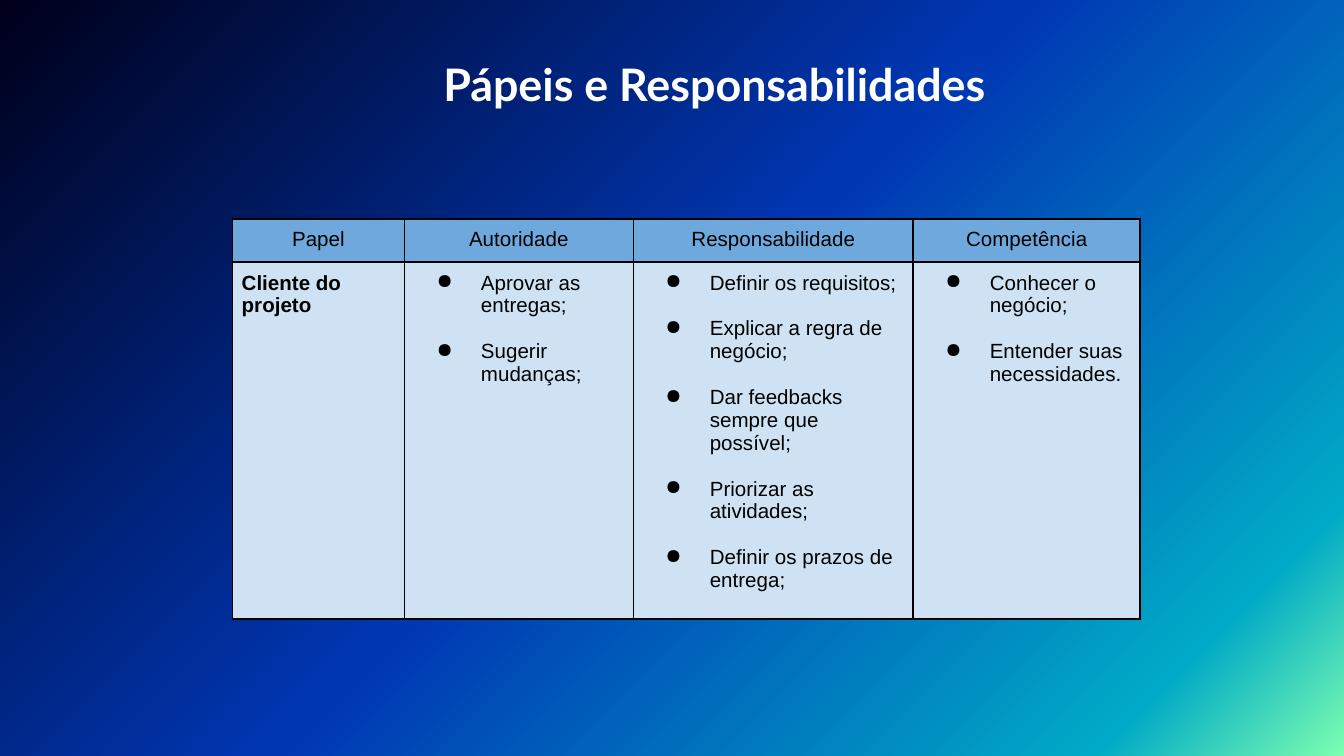
from lxml.etree import SubElement
from pptx import Presentation
from pptx.dml.color import RGBColor
from pptx.enum.text import PP_ALIGN as Align
from pptx.oxml.ns import qn
from pptx.util import Pt

COLORS = {
    "white": "FFFFFF",
    "black": "000000",
    "header": "6FA8DC",
    "body": "CFE2F3",
}
BACKGROUND_STOPS = [(0, "7DFFB1"), (12, "00AAC6"), (51, "0037B3"), (100, "00001A")]
COLUMN_WIDTHS = [92.2, 122.6, 150, 121.6]
HEADER_HEIGHT, BODY_HEIGHT = 22, 181.5
ITEM_GAP = 12.3

HEADERS = ["Papel", "Autoridade", "Responsabilidade", "Competência"]
ROLE = "Cliente do projeto"
DUTIES = [
    ["Aprovar as entregas;", "Sugerir mudanças;"],
    [
        "Definir os requisitos;",
        "Explicar a regra de negócio;",
        "Dar feedbacks sempre que possível;",
        "Priorizar as atividades;",
        "Definir os prazos de entrega;",
    ],
    ["Conhecer o negócio;", "Entender suas necessidades."],
]


def add_color(parent, color):
    return SubElement(parent, qn("a:srgbClr"), val=color)


def write(frame, lines, font="Arial", size=11, color="black", bold=False,
          align=Align.LEFT, spacing=None, gap=0, indent=0, hanging=0, bullet=None):
    """Fill a text frame with one paragraph per line; gap separates them."""
    for number, line in enumerate(lines):
        paragraph = frame.add_paragraph() if number else frame.paragraphs[0]
        properties = paragraph._p.get_or_add_pPr()
        properties.set("marL", str(Pt(indent)))
        properties.set("indent", str(Pt(-hanging)))
        if bullet:
            add_color(SubElement(properties, qn("a:buClr")), COLORS["black"])
            SubElement(properties, qn("a:buChar"), char=bullet)
        paragraph.alignment = align
        paragraph.space_before = Pt(gap if number else 0)
        if spacing:
            paragraph.line_spacing = spacing
        run = paragraph.add_run()
        run.text = line
        run.font.name, run.font.size, run.font.bold = font, Pt(size), bold
        run.font.color.rgb = RGBColor.from_string(COLORS[color])


def set_insets(box, inset):
    box.margin_left = box.margin_top = box.margin_right = box.margin_bottom = Pt(inset)


class SlideBuilder:
    def __init__(self, slide):
        self.slide = slide

    def background(self, stops, angle):
        fill = self.slide.background.fill
        fill.gradient()
        fill.gradient_angle = angle
        stop_list = self.slide._element.find(".//" + qn("a:gsLst"))
        for default_stop in list(stop_list):
            stop_list.remove(default_stop)
        for percent, color in stops:
            add_color(SubElement(stop_list, qn("a:gs"), pos=str(percent * 1000)), color)

    def text(self, left, top, width, height, line, **style):
        frame = self.slide.shapes.add_textbox(
            Pt(left), Pt(top), Pt(width), Pt(height)).text_frame
        frame.word_wrap = True
        set_insets(frame, 7.2)
        write(frame, [line], **style)

    def table(self, left, top, widths, heights):
        table = self.slide.shapes.add_table(
            len(heights), len(widths), Pt(left), Pt(top),
            Pt(sum(widths)), Pt(sum(heights))).table
        for column, width in zip(table.columns, widths):
            column.width = Pt(width)
        for row, height in zip(table.rows, heights):
            row.height = Pt(height)
        return table

    def cell(self, cell, lines, fill, **style):
        set_insets(cell, 5)
        properties = cell._tc.get_or_add_tcPr()
        for side in ("lnL", "lnR", "lnT", "lnB"):
            border = SubElement(properties, qn("a:" + side), w=str(Pt(1)))
            add_color(SubElement(border, qn("a:solidFill")), COLORS["black"])
        cell.fill.solid()
        cell.fill.fore_color.rgb = RGBColor.from_string(COLORS[fill])
        write(cell.text_frame, lines, **style)


def main():
    deck = Presentation()
    deck.slide_width, deck.slide_height = Pt(720), Pt(405)
    builder = SlideBuilder(deck.slides.add_slide(deck.slide_layouts[6]))

    builder.background(BACKGROUND_STOPS, angle=135)
    builder.text(194.4, 18.7, 346.3, 31, "Pápeis e Responsabilidades",
                 font="Lato", size=24, color="white", bold=True,
                 align=Align.JUSTIFY, spacing=1.15, indent=36)

    roles = builder.table(124.5, 117.2, COLUMN_WIDTHS, [HEADER_HEIGHT, BODY_HEIGHT])
    for column, header in enumerate(HEADERS):
        builder.cell(roles.cell(0, column), [header], "header", align=Align.CENTER)
    builder.cell(roles.cell(1, 0), [ROLE], "body", bold=True)
    for column, duties in enumerate(DUTIES, start=1):
        builder.cell(roles.cell(1, column), duties, "body", gap=ITEM_GAP,
                     indent=36, hanging=23.75, bullet="●")

    deck.save("out.pptx")


if __name__ == "__main__":
    main()
